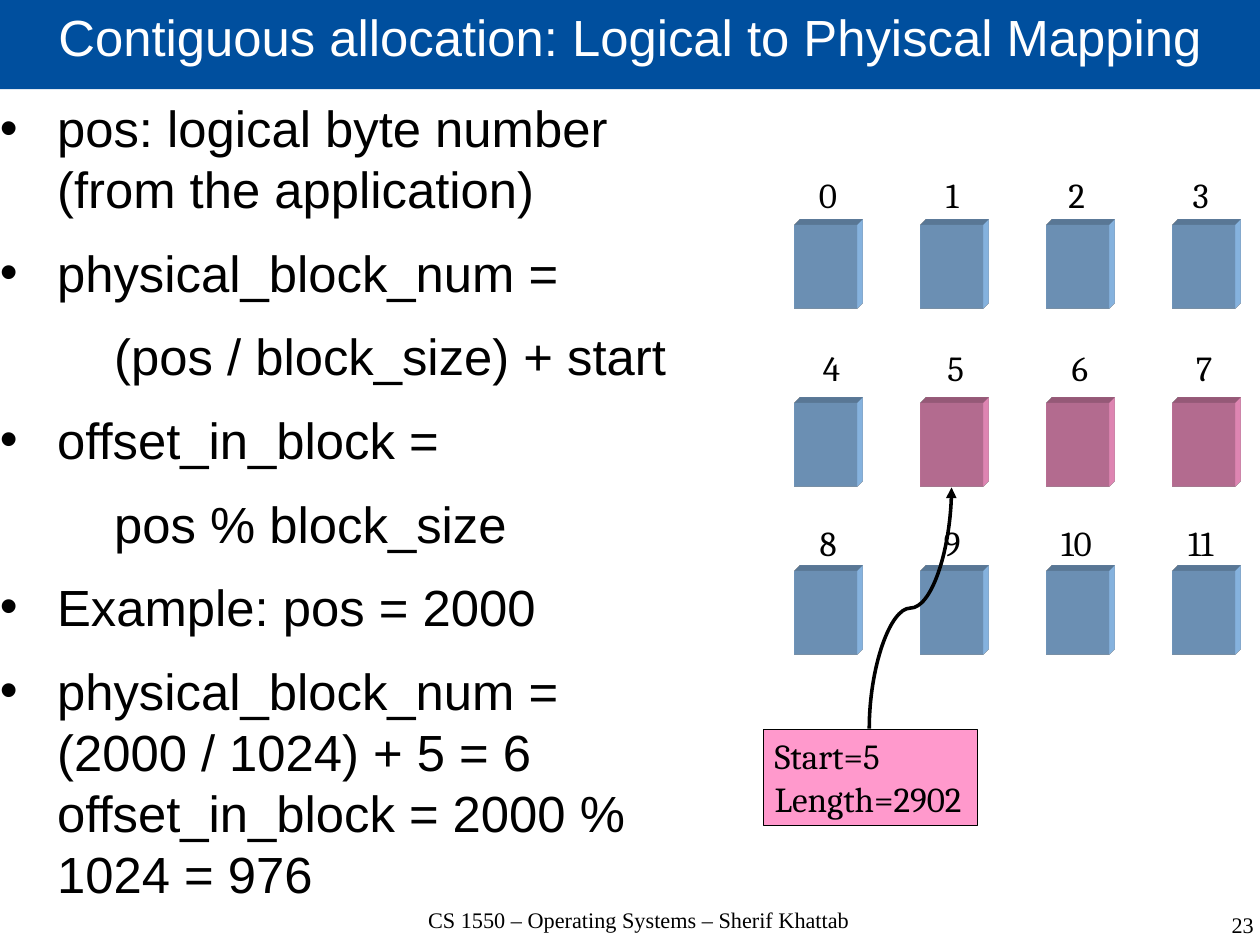
"""Slide on mapping logical to physical blocks under contiguous allocation."""
from lxml.etree import SubElement
from pptx import Presentation
from pptx.dml.color import RGBColor
from pptx.enum.shapes import MSO_CONNECTOR as Line, MSO_SHAPE as Shape
from pptx.enum.text import MSO_ANCHOR as Anchor, PP_ALIGN as Align
from pptx.oxml.ns import qn
from pptx.util import Inches, Pt


def paint(color_format, hex_color):
    color_format.rgb = RGBColor.from_string(hex_color)


def write(shape, lines, font, size, color="000000", align=Align.LEFT, margins=(0, 0), wrap=True):
    frame = shape.text_frame
    frame.word_wrap = wrap
    frame.margin_left = frame.margin_right = Inches(margins[0])
    frame.margin_top = frame.margin_bottom = Inches(margins[1])
    frame.vertical_anchor = Anchor.TOP
    for index, line in enumerate(lines):
        paragraph = frame.add_paragraph() if index else frame.paragraphs[0]
        paragraph.text = line
        paragraph.alignment = align
        paragraph.font.name = font
        paragraph.font.size = Pt(size)
        paint(paragraph.font.color, color)
    return frame


deck = Presentation()
deck.slide_width, deck.slide_height = Pt(793.75), Pt(595.25)
slide = deck.slides.add_slide(deck.slide_layouts[6])
shapes = slide.shapes

banner = shapes.add_shape(Shape.RECTANGLE, 0, Inches(-0.02), Inches(11.04), Inches(0.8))
banner.shadow.inherit = False
banner.fill.solid()
paint(banner.fill.fore_color, "004F9E")
banner.line.fill.background()
heading = write(banner, ["Contiguous allocation: Logical to Phyiscal Mapping"],
                "Arial", 32, "FFFFFF", Align.CENTER)
heading.vertical_anchor = Anchor.MIDDLE
heading.paragraphs[0].line_spacing = 0.69

steps = [
    ("pos: logical byte number (from the application)", True),
    ("physical_block_num =", True),
    ("(pos / block_size) + start", False),
    ("offset_in_block =", True),
    ("pos % block_size", False),
    ("Example: pos = 2000", True),
    ("physical_block_num = (2000 / 1024) + 5 = 6\voffset_in_block = 2000 % 1024 = 976", True),
]
explanation = shapes.add_textbox(0, Inches(0.85), Inches(6.37), Inches(7.12))
body = write(explanation, [text for text, _ in steps], "Arial", 32)
for paragraph, (_, bulleted) in zip(body.paragraphs, steps):
    paragraph.space_after = Pt(14.2)
    properties = paragraph._p.get_or_add_pPr()
    properties.set("marL", str(Inches(0.5 if bulleted else 1)))
    properties.set("indent", str(Inches(-0.5 if bulleted else 0)))
    if bulleted:
        run_defaults = properties.find(qn("a:defRPr"))
        for tag, settings in [("a:buFont", {"typeface": "Arial"}), ("a:buChar", {"char": "•"})]:
            run_defaults.addprevious(properties.makeelement(qn(tag), settings))

for text, left, top, width, align in [
    ("CS 1550 – Operating Systems – Sherif Khattab", 3.07, 7.94, 5.04, Align.CENTER),
    ("23", 8.44, 7.99, 2.53, Align.RIGHT),
]:
    footer = shapes.add_textbox(Inches(left), Inches(top), Inches(width), Inches(0.55))
    write(footer, [text], "Times New Roman", 14, align=align).paragraphs[0].line_spacing = 0.96

block_tops = [1.97, 3.53, 5]
label_tops = [1.47, 2.98, 4.51]
label_shifts = [0, 0.03, 0]
for number in range(12):
    row, column = divmod(number, 4)
    block = shapes.add_shape(Shape.RECTANGLE, Inches(6.95 + 1.103 * column),
                             Inches(block_tops[row]), Inches(0.55), Inches(0.73))
    block.shadow.inherit = False
    block.fill.solid()
    color = "FF99CC" if number in (5, 6, 7) else "99CCFF"
    paint(block.fill.fore_color, color)
    block.line.fill.background()
    scene = SubElement(block._element.spPr, qn("a:scene3d"))
    SubElement(scene, qn("a:camera"), prst="legacyObliqueTopRight")
    SubElement(scene, qn("a:lightRig"), rig="legacyFlat3", dir="b")
    depth = SubElement(block._element.spPr, qn("a:sp3d"),
                       extrusionH=str(Pt(10)), prstMaterial="legacyMatte")
    SubElement(SubElement(depth, qn("a:extrusionClr")), qn("a:srgbClr"), val=color)

    label = shapes.add_textbox(Inches(6.99 + 1.087 * column + label_shifts[row]),
                               Inches(label_tops[row]), Inches(0.51), Inches(0.47))
    write(label, [str(number)], "Cambria", 22.1, align=Align.CENTER, margins=(0.1, 0.05), wrap=False)

file_entry = shapes.add_shape(Shape.RECTANGLE, Inches(6.68), Inches(6.38), Inches(1.87), Inches(0.84))
file_entry.shadow.inherit = False
file_entry.fill.solid()
paint(file_entry.fill.fore_color, "FF99CC")
paint(file_entry.line.color, "000000")
file_entry.line.width = Pt(0.75)
write(file_entry, ["Start=5", "Length=2902"], "Cambria", 22.1, margins=(0.1, 0.05), wrap=False)

start_arrow = shapes.add_connector(Line.CURVE, Inches(9.02), Inches(5.68), Inches(6.91), Inches(4.96))
start_arrow._element.spPr.find(qn("a:xfrm")).set("rot", "5400000")
paint(start_arrow.line.color, "000000")
start_arrow.line.width = Pt(2.25)
SubElement(start_arrow.line._get_or_add_ln(), qn("a:tailEnd"), type="triangle")
SubElement(start_arrow._element.spPr, qn("a:effectLst"))

deck.save("out.pptx")
